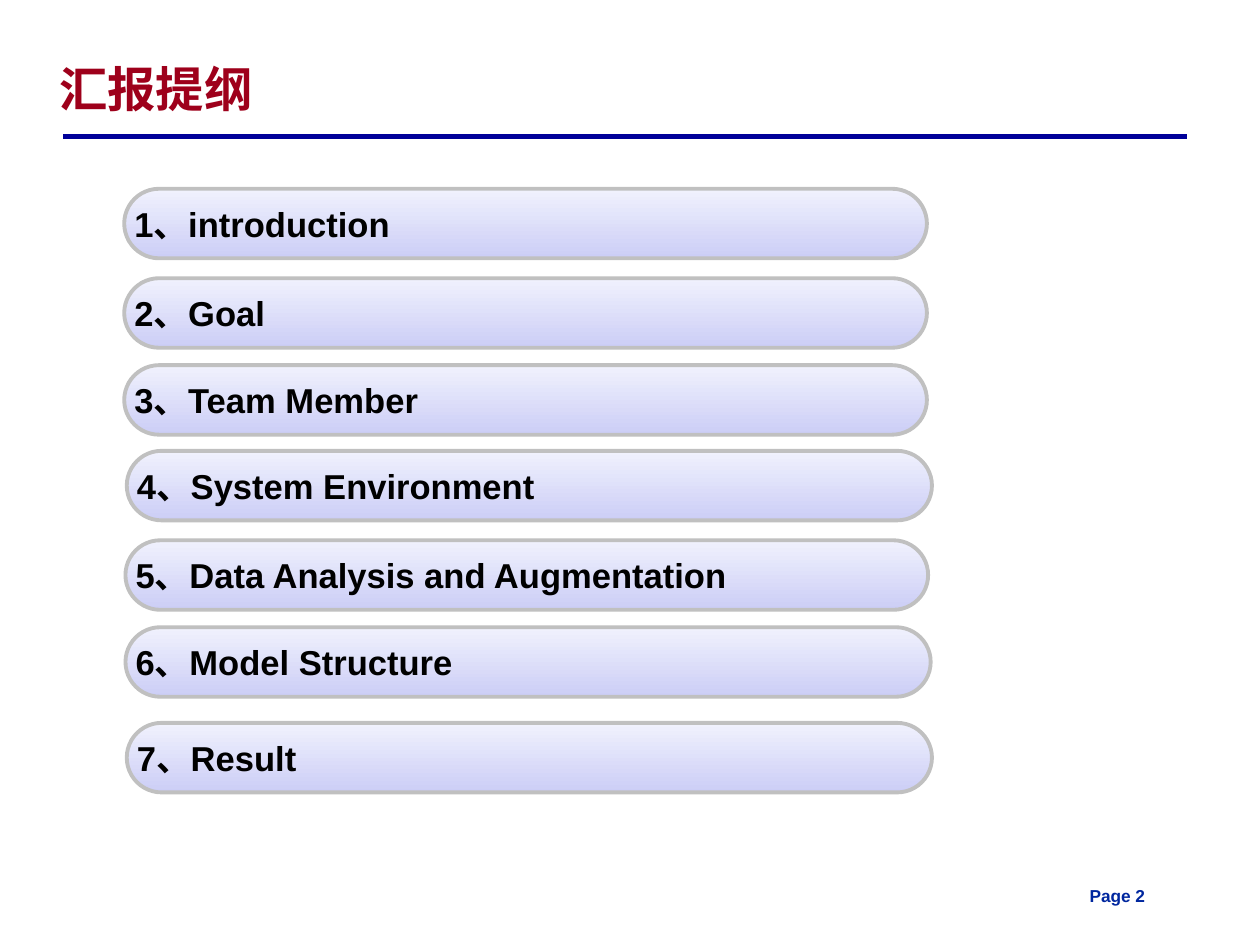
from dataclasses import dataclass

from lxml import etree
from pptx import Presentation
from pptx.dml.color import RGBColor
from pptx.enum.shapes import MSO_CONNECTOR, MSO_SHAPE
from pptx.enum.text import MSO_ANCHOR, PP_ALIGN
from pptx.oxml.ns import qn
from pptx.util import Emu, Pt

ROUNDED = MSO_SHAPE.ROUNDED_RECTANGLE
STRAIGHT = MSO_CONNECTOR.STRAIGHT
TOP, MIDDLE, BOTTOM = MSO_ANCHOR.TOP, MSO_ANCHOR.MIDDLE, MSO_ANCHOR.BOTTOM
LEFT = PP_ALIGN.LEFT

EMU_PER_PX = 9144  # 100 px to the inch
FONT = "Arial"
COLORS = {
    "title": "9E001B",
    "rule": "000099",
    "page": "00279F",
    "text": "000000",
    "bar_bottom": "CCCEF6",
    "bar_top": "F0F1FD",
    "bar_line": "C0C0C0",
}
BAR_HEIGHT = 56


@dataclass
class Label:
    text: str
    left: int
    top: int
    width: int
    height: int
    size: int
    color: str
    anchor: MSO_ANCHOR
    line_spacing: float = 1.0


@dataclass
class Topic:
    text: str
    left: int
    top: int
    width: int


LABELS = [
    Label("汇报提纲", 38, 38, 899, 62, 28, "title", BOTTOM, 0.87),
    Label("Page 2", 867, 708, 75, 27, 10, "page", TOP),
]
TOPICS = [
    Topic("introduction", 100, 152, 646),
    Topic("Goal", 100, 224, 646),
    Topic("Team Member", 100, 294, 646),
    Topic("System Environment", 102, 363, 648),
    Topic("Data Analysis and Augmentation", 101, 435, 646),
    Topic("Model Structure", 101, 505, 648),
    Topic("Result", 102, 582, 648),
]


def px(length: int) -> Emu:
    return Emu(length * EMU_PER_PX)


def rgb(name: str) -> RGBColor:
    return RGBColor.from_string(COLORS[name])


def write_text(frame, text: str, size: int, color: str, anchor: MSO_ANCHOR):
    frame.word_wrap = True
    frame.vertical_anchor = anchor
    paragraph = frame.paragraphs[0]
    paragraph.text = text
    paragraph.alignment = LEFT
    font = paragraph.font
    font.name, font.size, font.bold = FONT, Pt(size), True
    font.color.rgb = rgb(color)
    return paragraph


def add_label(slide, label: Label) -> None:
    box = slide.shapes.add_textbox(
        px(label.left), px(label.top), px(label.width), px(label.height))
    paragraph = write_text(
        box.text_frame, label.text, label.size, label.color, label.anchor)
    paragraph.line_spacing = label.line_spacing


def add_rule(slide) -> None:
    rule = slide.shapes.add_connector(STRAIGHT, px(51), px(110), px(955), px(110))
    rule.line.color.rgb = rgb("rule")
    rule.line.width = Pt(3)
    etree.SubElement(rule._element.spPr, qn("a:effectLst"))


def add_topic(slide, number: int, topic: Topic) -> None:
    bar = slide.shapes.add_shape(
        ROUNDED, px(topic.left), px(topic.top), px(topic.width), px(BAR_HEIGHT))
    bar.adjustments[0] = 0.5
    bar.shadow.inherit = False
    bar.fill.gradient()
    bar.fill.gradient_angle = 90
    for stop, name in zip(bar.fill.gradient_stops, ("bar_bottom", "bar_top")):
        stop.color.rgb = rgb(name)
    bar.line.color.rgb = rgb("bar_line")
    bar.line.width = Pt(2.25)
    frame = bar.text_frame
    frame.margin_left = frame.margin_right = 0
    frame.margin_top = frame.margin_bottom = 0
    write_text(frame, f"{number}、{topic.text}", 20, "text", MIDDLE)


def main() -> None:
    presentation = Presentation()
    presentation.slide_width, presentation.slide_height = px(1014), px(760)
    slide = presentation.slides.add_slide(presentation.slide_layouts[6])

    # Heading and page number
    add_rule(slide)
    for label in LABELS:
        add_label(slide, label)

    # Outline topics
    for number, topic in enumerate(TOPICS, start=1):
        add_topic(slide, number, topic)

    presentation.save("out.pptx")


if __name__ == "__main__":
    main()
